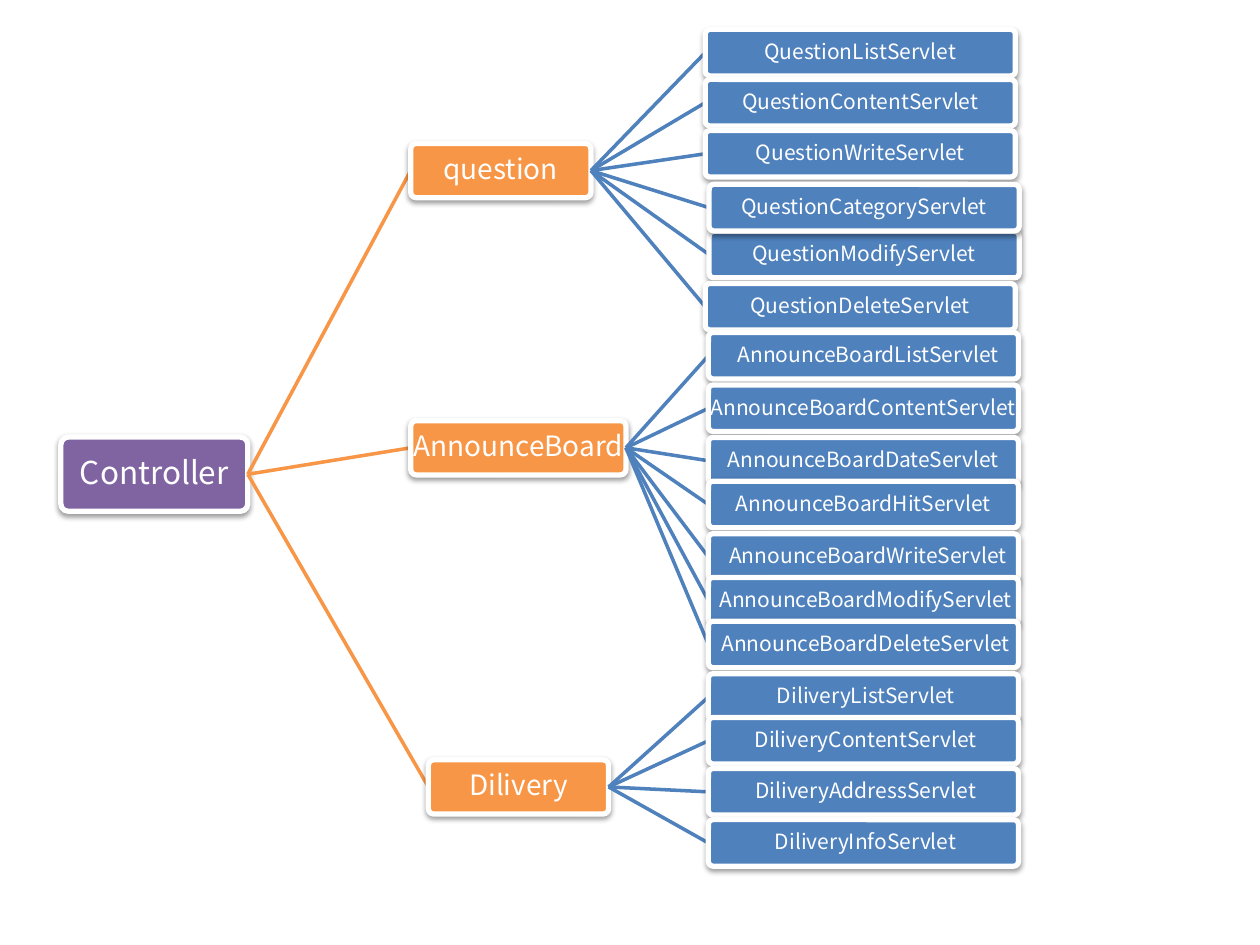
from lxml import etree
from pptx import Presentation
from pptx.dml.color import RGBColor
from pptx.enum.shapes import MSO_CONNECTOR, MSO_SHAPE
from pptx.enum.text import MSO_ANCHOR, PP_ALIGN
from pptx.oxml.ns import qn
from pptx.util import Pt

ROUNDED = MSO_SHAPE.ROUNDED_RECTANGLE
STRAIGHT = MSO_CONNECTOR.STRAIGHT
CENTER = PP_ALIGN.CENTER
MIDDLE = MSO_ANCHOR.MIDDLE
LEFT_SIDE, RIGHT_SIDE = 1, 3

PURPLE, ORANGE, BLUE, WHITE = "8064A2", "F79646", "4F81BD", "FFFFFF"
SERVLET_SIZE = (177.2, 26.6)

# Branch: name, left, top, width, servlets.
# Servlet: name, left, top, left indent of the text.
BRANCHES = [
    ("question", 234.7, 82, 103, [
        ("QuestionListServlet", 403, 16.8, 0),
        ("QuestionContentServlet", 403, 45.4, 0),
        ("QuestionWriteServlet", 403, 74.6, 0),
        ("QuestionModifyServlet", 405.2, 132.2, 0),
        ("QuestionCategoryServlet", 405.2, 105.4, 0),
        ("QuestionDeleteServlet", 403, 162, 0),
    ]),
    ("AnnounceBoard", 234.7, 240.4, 123, [
        ("AnnounceBoardListServlet", 404.8, 190, 5.4),
        ("AnnounceBoardContentServlet", 404.8, 220, 0),
        ("AnnounceBoardDateServlet", 404.8, 250, 0),
        ("AnnounceBoardHitServlet", 404.8, 275, 0),
        ("AnnounceBoardWriteServlet", 404.8, 305, 5.4),
        ("AnnounceBoardModifyServlet", 404.8, 330, 2.7),
        ("AnnounceBoardDeleteServlet", 404.8, 355, 2.7),
    ]),
    ("Dilivery", 244.8, 434.2, 103, [
        ("DiliveryListServlet", 404.8, 385, 2.7),
        ("DiliveryContentServlet", 404.8, 410, 2.7),
        ("DiliveryAddressServlet", 404.8, 439.2, 2.7),
        ("DiliveryInfoServlet", 404.8, 468.4, 2.7),
    ]),
]


def color(value):
    return RGBColor.from_string(value)


class TreeSlide:
    font = "Noto Sans CJK KR"
    border_width = 3
    link_width = 2

    def __init__(self, slide):
        self.slide = slide

    def box(self, name, left, top, width, height, fill, size, indent=0):
        shape = self.slide.shapes.add_shape(
            ROUNDED, Pt(left), Pt(top), Pt(width), Pt(height))
        shape.adjustments[0] = 0.1
        shape.fill.solid()
        shape.fill.fore_color.rgb = color(fill)
        shape.line.color.rgb = color(WHITE)
        shape.line.width = Pt(self.border_width)
        self.soft_shadow(shape)

        frame = shape.text_frame
        frame.word_wrap = False
        frame.vertical_anchor = MIDDLE
        frame.margin_left = Pt(1 + indent)
        frame.margin_right = frame.margin_top = frame.margin_bottom = Pt(1)
        paragraph = frame.paragraphs[0]
        paragraph.alignment = CENTER
        paragraph.line_spacing = 0.9
        run = paragraph.add_run()
        run.text = name
        run.font.name = self.font
        run.font.size = Pt(size)
        run.font.color.rgb = color(WHITE)
        return shape

    def soft_shadow(self, shape):
        shape.shadow.inherit = False
        effects = shape._element.spPr.find(qn("a:effectLst"))
        shadow = etree.SubElement(
            effects, qn("a:outerShdw"), blurRad=str(Pt(3.1)),
            dist=str(Pt(1.6)), dir="5400000", rotWithShape="0")
        black = etree.SubElement(shadow, qn("a:srgbClr"), val="000000")
        etree.SubElement(black, qn("a:alpha"), val="38000")

    def link(self, parent, child, line_color):
        """Join two boxes with a line that lies just behind the child."""
        connector = self.slide.shapes.add_connector(STRAIGHT, 0, 0, 0, 0)
        connector.begin_connect(parent, RIGHT_SIDE)
        connector.end_connect(child, LEFT_SIDE)
        connector.line.color.rgb = color(line_color)
        connector.line.width = Pt(self.link_width)
        etree.SubElement(connector._element.spPr, qn("a:effectLst"))
        child._element.addprevious(connector._element)


def main():
    presentation = Presentation()
    presentation.slide_width, presentation.slide_height = Pt(720), Pt(540)
    blank_layout = presentation.slide_layouts[6]
    tree = TreeSlide(presentation.slides.add_slide(blank_layout))

    controller = tree.box("Controller", 34.8, 249.8, 106.8, 42.4, PURPLE, 18)
    for name, left, top, width, servlets in BRANCHES:
        branch = tree.box(name, left, top, width, 31, ORANGE, 16)
        tree.link(controller, branch, ORANGE)
        for servlet, servlet_left, servlet_top, indent in servlets:
            leaf = tree.box(servlet, servlet_left, servlet_top, *SERVLET_SIZE,
                            BLUE, 12, indent)
            tree.link(branch, leaf, BLUE)
    presentation.save("out.pptx")


if __name__ == "__main__":
    main()
